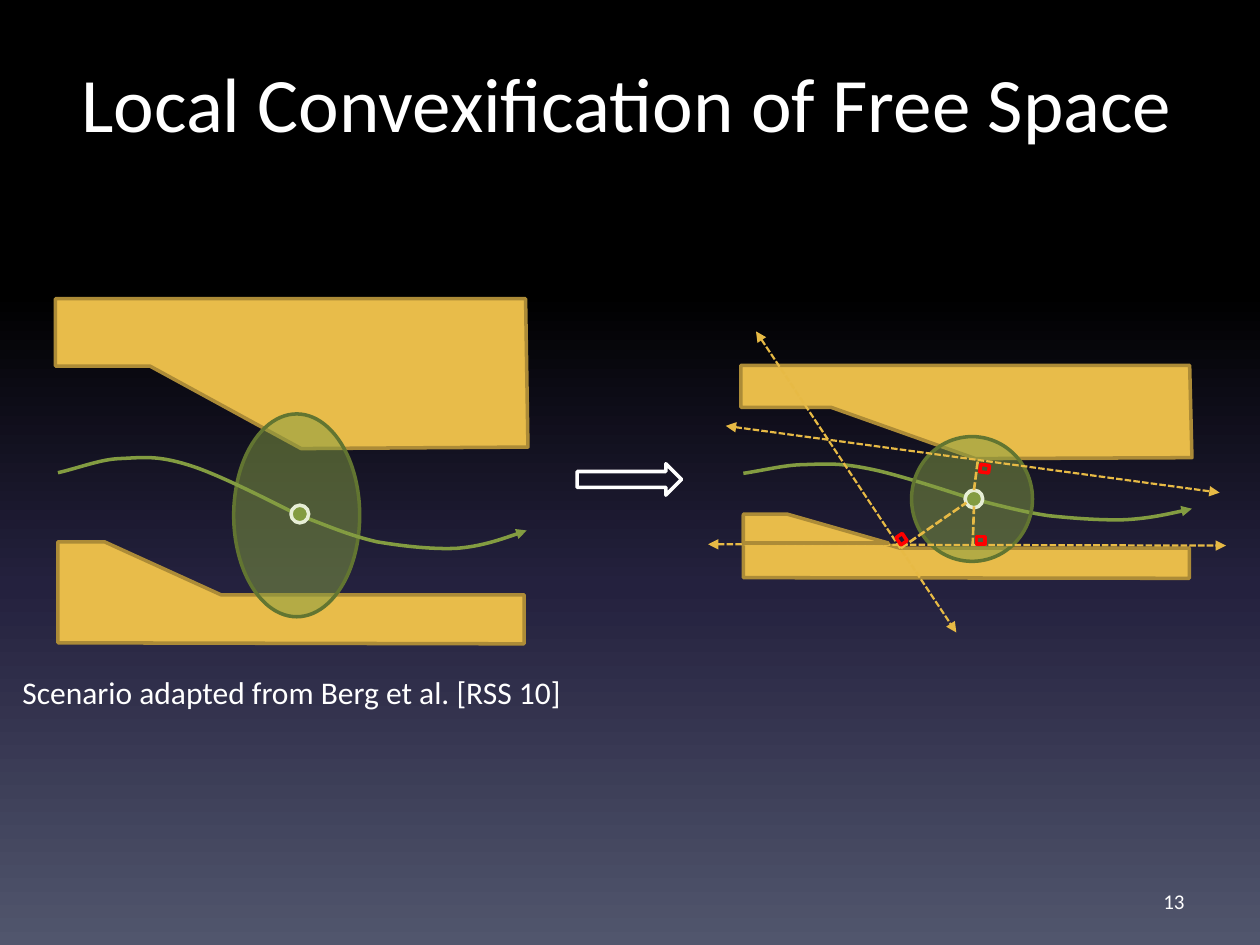
from dataclasses import dataclass

from lxml import etree
from pptx import Presentation
from pptx.dml.color import RGBColor
from pptx.enum.dml import MSO_LINE
from pptx.enum.shapes import MSO_CONNECTOR, MSO_SHAPE
from pptx.enum.text import MSO_ANCHOR, PP_ALIGN
from pptx.oxml.ns import qn
from pptx.util import Inches, Pt

ELLIPSE, RECT, ARROW = MSO_SHAPE.OVAL, MSO_SHAPE.RECTANGLE, MSO_SHAPE.RIGHT_ARROW
STRAIGHT = MSO_CONNECTOR.STRAIGHT
DASH = MSO_LINE.SQUARE_DOT
TOP, MIDDLE = MSO_ANCHOR.TOP, MSO_ANCHOR.MIDDLE
LEFT, CENTER, RIGHT = PP_ALIGN.LEFT, PP_ALIGN.CENTER, PP_ALIGN.RIGHT
COLUMNS, ROWS = 10, 7.5  # grid of one-inch cells
TITLE_ONLY = 5


@dataclass(frozen=True)
class Theme:
    font: str = "Calibri"
    text: str = "FFFFFF"
    title_size: int = 44
    caption_size: int = 18
    number_size: int = 12
    wall: str = "E8BC4A"
    wall_edge: str = "AC8B37"
    plane: str = "E7BA45"
    region: str = "839C41"
    region_edge: str = "627531"
    robot_edge: str = "E7EED6"
    right_angle: str = "FF0000"
    edge: float = 2
    normal_width: float = 1.5
    plane_width: float = 1.25
    background: tuple = ((0, "000000"), (31, "000000"), (62, "24213E"), (100, "51566D"))


THEME = Theme()

# Outlines as shares of their own box, common to both diagrams
UPPER_WALL = [(0, 0.45), (0.2, 0.45), (0.52, 1), (1, 0.99), (0.995, 0), (0, 0)]
LOWER_WALL = [(0, 0), (0.1, 0), (0.35, 0.52), (1, 0.52), (1, 1), (0, 0.99)]
WEDGE = [(0, 0), (0, 1), (1, 1), (0.3, 0)]
TRAJECTORY = [  # start point, then three control points per curve
    (0, 0.19), (0.05, 0.13), (0.09, 0.05), (0.13, 0.04),
    (0.18, 0.03), (0.21, 0), (0.28, 0.11),
    (0.34, 0.2), (0.45, 0.48), (0.51, 0.63),
    (0.58, 0.76), (0.62, 0.85), (0.68, 0.92),
    (0.74, 0.97), (0.8, 1), (0.85, 0.99),
    (0.9, 0.97), (0.95, 0.89), (1, 0.8),
]


def cells(*lengths):
    return [Inches(length) for length in lengths]


def rgb(color):
    return RGBColor.from_string(color)


def style(shape, edge, fill=None, opacity=100):
    shape.shadow.inherit = False
    shape.line.color.rgb = rgb(edge)
    shape.line.width = Pt(THEME.edge)
    if fill is None:
        shape.fill.background()
        return
    shape.fill.solid()
    shape.fill.fore_color.rgb = rgb(fill)
    if opacity < 100:
        color = shape._element.spPr.find(qn("a:solidFill"))[0]
        etree.SubElement(color, qn("a:alpha"), val=str(opacity * 1000))


def add_arrowheads(item, *ends):
    outline = item.line._get_or_add_ln()
    for end in ends:
        etree.SubElement(outline, qn(f"a:{end}"), type="triangle")


def add_outline(slide, box, shares, closed):
    left, top, width, height = box
    points = [cells(left + x * width, top + y * height) for x, y in shares]
    builder = slide.shapes.build_freeform(*points[0], scale=1.0)
    builder.add_line_segments(points[1:], close=closed)
    return builder.convert_to_shape()


def add_wall(slide, box, shares):
    style(add_outline(slide, box, shares, True), THEME.wall_edge, THEME.wall)


def add_trajectory(slide, box):
    trajectory = add_outline(slide, box, TRAJECTORY, False)
    style(trajectory, THEME.region)
    add_arrowheads(trajectory, "tailEnd")
    # Join each three straight steps into one Bezier curve
    steps = list(trajectory._element.iter(qn("a:lnTo")))
    for first in range(0, len(steps), 3):
        curve = etree.Element(qn("a:cubicBezTo"))
        steps[first].addprevious(curve)
        for step in steps[first:first + 3]:
            curve.append(step[0])
            step.getparent().remove(step)


def add_preset(slide, kind, box, edge, fill=None, opacity=100, rotation=0):
    shape = slide.shapes.add_shape(kind, *cells(*box))
    shape.rotation = rotation
    style(shape, edge, fill, opacity)


def add_region(slide, box):
    add_preset(slide, ELLIPSE, box, THEME.region_edge, THEME.region, 51, 270)


def add_robot(slide, left, top):
    add_preset(slide, ELLIPSE, (left, top, 0.14, 0.14), THEME.robot_edge, THEME.region)


def add_dashed(slide, start, end, width):
    dashed = slide.shapes.add_connector(STRAIGHT, *cells(*start, *end))
    dashed.line.color.rgb = rgb(THEME.plane)
    dashed.line.width = Pt(width)
    dashed.line.dash_style = DASH
    etree.SubElement(dashed._element.spPr, qn("a:effectLst"))
    return dashed


def add_constraint(slide, normal, plane, corner, rotation):
    """Normal from the robot, its half-plane border and the right-angle mark."""
    add_dashed(slide, *normal, THEME.normal_width)
    border = add_dashed(slide, *plane, THEME.plane_width)
    add_arrowheads(border, "headEnd", "tailEnd")
    add_preset(slide, RECT, (*corner, 0.07, 0.06), THEME.right_angle, rotation=rotation)


def write(holder, text, size, align, anchor):
    frame = holder.text_frame
    frame.text = text
    frame.word_wrap = True
    frame.vertical_anchor = anchor
    paragraph = frame.paragraphs[0]
    paragraph.alignment = align
    font = paragraph.runs[0].font
    font.name, font.size, font.color.rgb = THEME.font, Pt(size), rgb(THEME.text)


def add_text(slide, box, text, size, align, anchor):
    write(slide.shapes.add_textbox(*cells(*box)), text, size, align, anchor)


def set_background(slide):
    fill = slide.background.fill
    fill.gradient()
    fill.gradient_angle = 270
    stops = slide._element.find(".//" + qn("a:gsLst"))
    stops.clear()
    for position, color in THEME.background:
        stop = etree.SubElement(stops, qn("a:gs"), pos=str(position * 1000))
        etree.SubElement(stop, qn("a:srgbClr"), val=color)


def add_title(slide, text):
    title = slide.shapes.title
    title.left, title.top, title.width, title.height = cells(0.34, 0.39, 9.27, 1.25)
    write(title, text, THEME.title_size, CENTER, TOP)


def add_scenario(slide):
    add_wall(slide, (0.46, 4.3, 3.7, 0.81), LOWER_WALL)
    add_wall(slide, (0.44, 2.37, 3.75, 1.19), UPPER_WALL)
    add_region(slide, (1.55, 3.59, 1.61, 1))
    add_trajectory(slide, (0.46, 3.61, 3.72, 0.75))
    add_robot(slide, 2.31, 4.01)


def add_convexified(slide):
    add_wall(slide, (5.9, 4.09, 3.54, 0.5), LOWER_WALL)
    add_wall(slide, (5.88, 2.9, 3.58, 0.74), UPPER_WALL)
    add_trajectory(slide, (5.9, 3.67, 3.56, 0.46))
    add_region(slide, (7.22, 3.48, 0.99, 0.96))
    add_robot(slide, 7.66, 3.89)
    add_constraint(slide, ((7.73, 3.89), (7.76, 3.66)), ((5.76, 3.38), (9.68, 3.91)), (7.78, 3.69), 8)
    add_constraint(slide, ((7.72, 4.33), (7.73, 4.02)), ((5.62, 4.32), (9.73, 4.33)), (7.75, 4.26), 0)
    add_wall(slide, (5.9, 4.08, 1.15, 0.23), WEDGE)
    add_constraint(slide, ((7.15, 4.35), (7.67, 3.99)), ((6, 2.63), (7.59, 5.02)), (7.12, 4.25), 56)


def main():
    deck = Presentation()
    deck.slide_width, deck.slide_height = cells(COLUMNS, ROWS)
    slide = deck.slides.add_slide(deck.slide_layouts[TITLE_ONLY])
    set_background(slide)
    add_title(slide, "Local Convexification of Free Space")
    add_scenario(slide)
    add_preset(slide, ARROW, (4.58, 3.68, 0.83, 0.25), THEME.text)
    add_convexified(slide)
    # Caption and slide number
    add_text(slide, (0.08, 5.29, 4.76, 0.4), "Scenario adapted from Berg et al. [RSS 10]",
             THEME.caption_size, LEFT, TOP)
    add_text(slide, (7.17, 6.95, 2.33, 0.4), "13", THEME.number_size, RIGHT, MIDDLE)
    deck.save("out.pptx")


if __name__ == "__main__":
    main()
